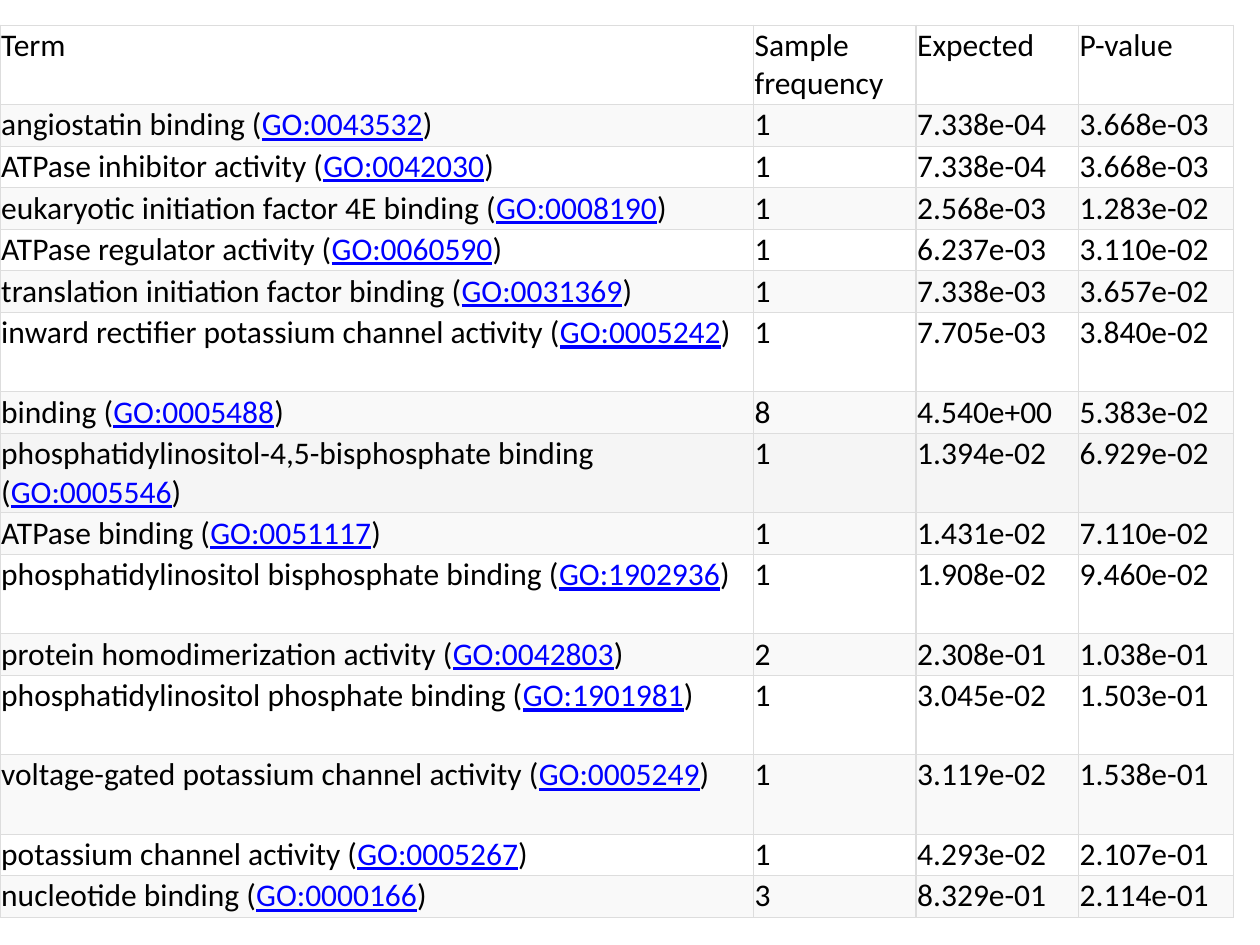
import lxml.etree
import pptx
import pptx.dml.color
import pptx.oxml.ns
import pptx.util

Inches = pptx.util.Inches
Pt = pptx.util.Pt

COLORS = {
    "text": "000000",
    "link": "0000FF",
    "rule": "DDDDDD",
    "plain": "FFFFFF",
    "band": "F9F9F9",
    "mark": "F5F5F5",
}

HEADS = ["Term", "Sample frequency", "Expected", "P-value"]
# Term, GO number, sample frequency, expected, P-value
TERMS = [
    ("angiostatin binding", "0043532", "1", "7.338e-04", "3.668e-03"),
    ("ATPase inhibitor activity", "0042030", "1", "7.338e-04", "3.668e-03"),
    ("eukaryotic initiation factor 4E binding", "0008190", "1", "2.568e-03", "1.283e-02"),
    ("ATPase regulator activity", "0060590", "1", "6.237e-03", "3.110e-02"),
    ("translation initiation factor binding", "0031369", "1", "7.338e-03", "3.657e-02"),
    ("inward rectifier potassium channel activity", "0005242", "1", "7.705e-03", "3.840e-02"),
    ("binding", "0005488", "8", "4.540e+00", "5.383e-02"),
    ("phosphatidylinositol-4,5-bisphosphate binding", "0005546", "1", "1.394e-02", "6.929e-02"),
    ("ATPase binding", "0051117", "1", "1.431e-02", "7.110e-02"),
    ("phosphatidylinositol bisphosphate binding", "1902936", "1", "1.908e-02", "9.460e-02"),
    ("protein homodimerization activity", "0042803", "2", "2.308e-01", "1.038e-01"),
    ("phosphatidylinositol phosphate binding", "1901981", "1", "3.045e-02", "1.503e-01"),
    ("voltage-gated potassium channel activity", "0005249", "1", "3.119e-02", "1.538e-01"),
    ("potassium channel activity", "0005267", "1", "4.293e-02", "2.107e-01"),
    ("nucleotide binding", "0000166", "3", "8.329e-01", "2.114e-01"),
]
WIDTHS = [5.98, 1.29, 1.29, 1.23]
LOW, TALL = 0.33, 0.63
TALL_ROWS = {0, 6, 8, 10, 12, 13}
MARK_ROW = 8


class Page:
    def __init__(self, slide, font="Calibri", size=18, inset=0.01):
        self.slide = slide
        self.font = font
        self.size = size
        self.inset = inset

    def color(self, name):
        return pptx.dml.color.RGBColor.from_string(COLORS[name])

    def grid(self, left, top, widths, heights):
        frame = self.slide.shapes.add_table(
            len(heights), len(widths), Inches(left), Inches(top),
            Inches(sum(widths)), Inches(sum(heights)))
        table = frame.table
        for col, width in zip(table.columns, widths):
            col.width = Inches(width)
        for row, height in zip(table.rows, heights):
            row.height = Inches(height)
        return table

    def border(self, cell):
        props = cell._tc.get_or_add_tcPr()
        for spot, side in enumerate(("lnL", "lnR", "lnT", "lnB")):
            line = lxml.etree.Element(pptx.oxml.ns.qn("a:" + side), w=str(Pt(0.75)))
            fill = lxml.etree.SubElement(line, pptx.oxml.ns.qn("a:solidFill"))
            lxml.etree.SubElement(
                fill, pptx.oxml.ns.qn("a:srgbClr"), val=COLORS["rule"])
            props.insert(spot, line)

    def cell(self, cell, text, fill, link=None):
        cell.fill.solid()
        cell.fill.fore_color.rgb = self.color(fill)
        self.border(cell)
        cell.margin_left = cell.margin_right = Inches(self.inset)
        cell.margin_top = cell.margin_bottom = Inches(self.inset)
        para = cell.text_frame.paragraphs[0]
        para.text = text
        if link:
            para.add_run().text = link
            para.add_run().text = ")"
        for run in para.runs:
            linked = run.text == link
            run.font.name = self.font
            run.font.size = Pt(self.size)
            run.font.bold = False
            run.font.underline = linked
            run.font.color.rgb = self.color("link" if linked else "text")


def main():
    deck = pptx.Presentation()
    deck.slide_width, deck.slide_height = Inches(10), Inches(7.5)
    page = Page(deck.slides.add_slide(deck.slide_layouts[6]))

    # Table frame
    count = len(TERMS) + 1
    heights = [TALL if row in TALL_ROWS else LOW for row in range(count)]
    table = page.grid(0, 0.2, WIDTHS, heights)

    # Header row
    for col, head in enumerate(HEADS):
        page.cell(table.cell(0, col), head, "plain")

    # Term rows, banded, with one marked row
    for row, (term, code, *values) in enumerate(TERMS, 1):
        fill = "mark" if row == MARK_ROW else "band" if row % 2 else "plain"
        page.cell(table.cell(row, 0), term + " (", fill, "GO:" + code)
        for col, value in enumerate(values, 1):
            page.cell(table.cell(row, col), value, fill)

    deck.save("out.pptx")


if __name__ == "__main__":
    main()
